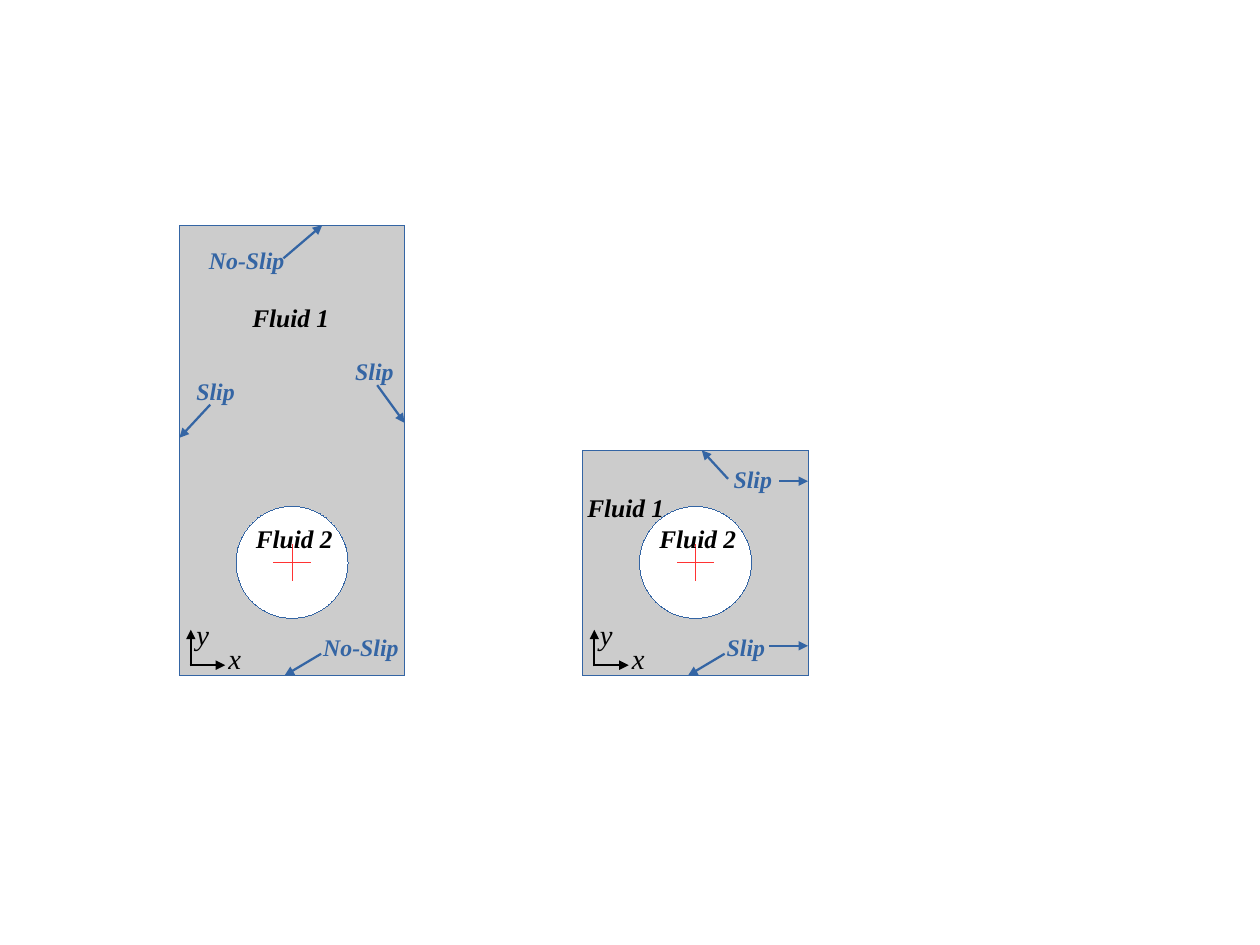
import pptx
import pptx.util
import pptx.dml.color
import pptx.enum.shapes
import pptx.enum.text
import pptx.oxml.ns
from lxml import etree
from pptx.util import Inches

COLORS = {"fluid_1": "CCCCCC", "fluid_2": "FFFFFF", "wall": "3465A4",
          "center": "FF3333", "ink": "000000"}
FONT = "Times New Roman"
FLOOR = 5.91
DOMAIN_WIDTH = 1.97
BUBBLE = 0.98
BUBBLE_CENTER = 4.92
CROSS_ARM = 0.16
ARROW_WIDTH = 1.42

LABEL_STYLES = {
    "fluid": {"size": 16, "bold": True, "color": "ink", "height": 0.39},
    "wall": {"size": 15, "bold": True, "color": "wall", "height": 0.37},
    "axis": {"size": 18, "bold": False, "color": "ink", "height": 0.4},
}
LABEL_WIDTHS = {"Fluid 1": 0.87, "Fluid 2": 0.87, "Slip": 0.54,
                "No-Slip": 0.86, "x": 0.31, "y": 0.31}

SHARED_LABELS = [("Fluid 2", "fluid", 0.57, 4.53),
                 ("y", "axis", 0.05, 5.35), ("x", "axis", 0.33, 5.56)]
AXES = [((0.1, 5.83), (0.1, 5.51)), ((0.09, 5.82), (0.4, 5.82))]
FLOOR_ARROW = ((1.24, 5.72), (0.92, FLOOR))

DOMAINS = [
    {"left": 1.57, "height": 3.94,
     "labels": [("Fluid 1", "fluid", 0.54, 2.59), ("Slip", "wall", 0.05, 3.25),
                ("Slip", "wall", 1.44, 3.07), ("No-Slip", "wall", 0.16, 2.1),
                ("No-Slip", "wall", 1.16, 5.49)],
     "wall_arrows": [((0.27, 3.54), (0, 3.83)), ((1.73, 3.37), (1.97, 3.7)),
                     ((0.91, 2.26), (1.25, 1.97))]},
    {"left": 5.1, "height": 1.97,
     "labels": [("Fluid 1", "fluid", -0.06, 4.26), ("Slip", "wall", 1.22, 4.02),
                ("Slip", "wall", 1.16, 5.49)],
     "wall_arrows": [((1.72, 4.21), (1.97, 4.21)), ((1.63, 5.65), (1.97, 5.65)),
                     ((1.27, 4.19), (1.04, 3.94))]},
]


def rgb(name):
    return pptx.dml.color.RGBColor.from_string(COLORS[name])


def set_stroke(stroke, color, width=0):
    stroke.color.rgb = rgb(color)
    outline = stroke._get_or_add_ln()
    outline.set("w", str(pptx.util.Pt(width)))
    return outline


def add_region(slide, preset, left, top, width, height, fill):
    region = slide.shapes.add_shape(
        preset, Inches(left), Inches(top), Inches(width), Inches(height))
    region.shadow.inherit = False
    region.fill.solid()
    region.fill.fore_color.rgb = rgb(fill)
    set_stroke(region.line, "wall")


def add_line(slide, left, ends, color, width=0, arrow=False):
    (x1, y1), (x2, y2) = ends
    line = slide.shapes.add_connector(
        pptx.enum.shapes.MSO_CONNECTOR.STRAIGHT,
        Inches(left + x1), Inches(y1), Inches(left + x2), Inches(y2))
    outline = set_stroke(line.line, color, width)
    if arrow:
        etree.SubElement(outline, pptx.oxml.ns.qn("a:tailEnd"), type="triangle")
    etree.SubElement(line._element.spPr, pptx.oxml.ns.qn("a:effectLst"))


def add_label(slide, left, label):
    text, kind, x, top = label
    style = LABEL_STYLES[kind]
    box = slide.shapes.add_textbox(
        Inches(left + x), Inches(top),
        Inches(LABEL_WIDTHS[text]), Inches(style["height"]))
    frame = box.text_frame
    frame.word_wrap = False
    frame.auto_size = pptx.enum.text.MSO_AUTO_SIZE.SHAPE_TO_FIT_TEXT
    paragraph = frame.paragraphs[0]
    paragraph.text = text
    font = paragraph.font
    font.name = FONT
    font.size = pptx.util.Pt(style["size"])
    font.bold = style["bold"]
    font.italic = True
    font.color.rgb = rgb(style["color"])


def add_domain(slide, domain):
    left = domain["left"]
    middle = DOMAIN_WIDTH / 2
    presets = pptx.enum.shapes.MSO_SHAPE
    add_region(slide, presets.RECTANGLE, left, FLOOR - domain["height"],
               DOMAIN_WIDTH, domain["height"], "fluid_1")
    add_region(slide, presets.OVAL, left + middle - BUBBLE / 2,
               BUBBLE_CENTER - BUBBLE / 2, BUBBLE, BUBBLE, "fluid_2")
    for dx, dy in [(0, CROSS_ARM), (CROSS_ARM, 0)]:
        cross = ((middle - dx, BUBBLE_CENTER - dy), (middle + dx, BUBBLE_CENTER + dy))
        add_line(slide, left, cross, "center")
    for axis in AXES:
        add_line(slide, left, axis, "ink", ARROW_WIDTH, True)
    for arrow in domain["wall_arrows"] + [FLOOR_ARROW]:
        add_line(slide, left, arrow, "wall", ARROW_WIDTH, True)
    for label in SHARED_LABELS + domain["labels"]:
        add_label(slide, left, label)


def main():
    deck = pptx.Presentation()
    deck.slide_width = pptx.util.Cm(28)
    deck.slide_height = pptx.util.Cm(21)
    slide = deck.slides.add_slide(deck.slide_layouts[6])
    for domain in DOMAINS:
        add_domain(slide, domain)
    deck.save("out.pptx")


if __name__ == "__main__":
    main()
